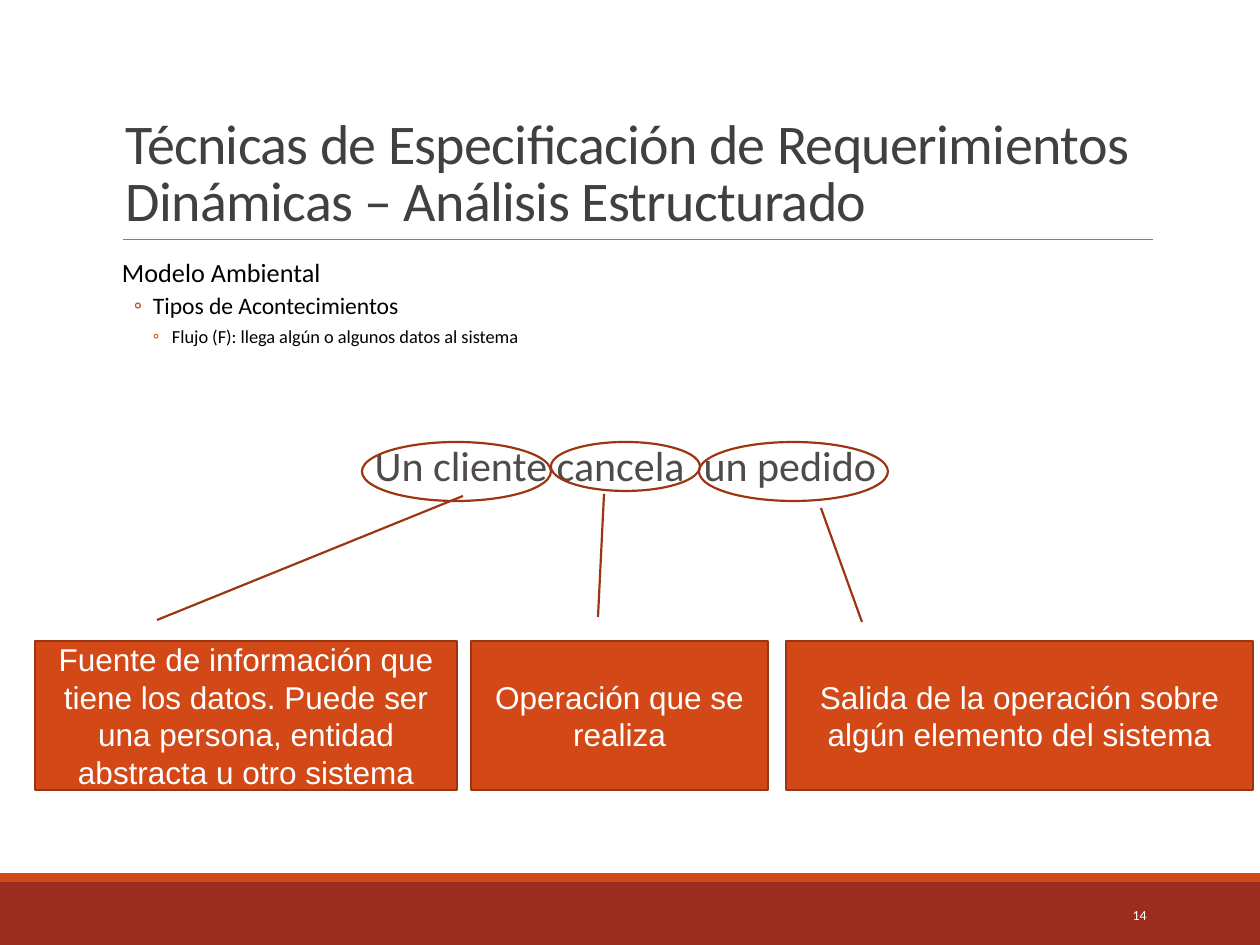
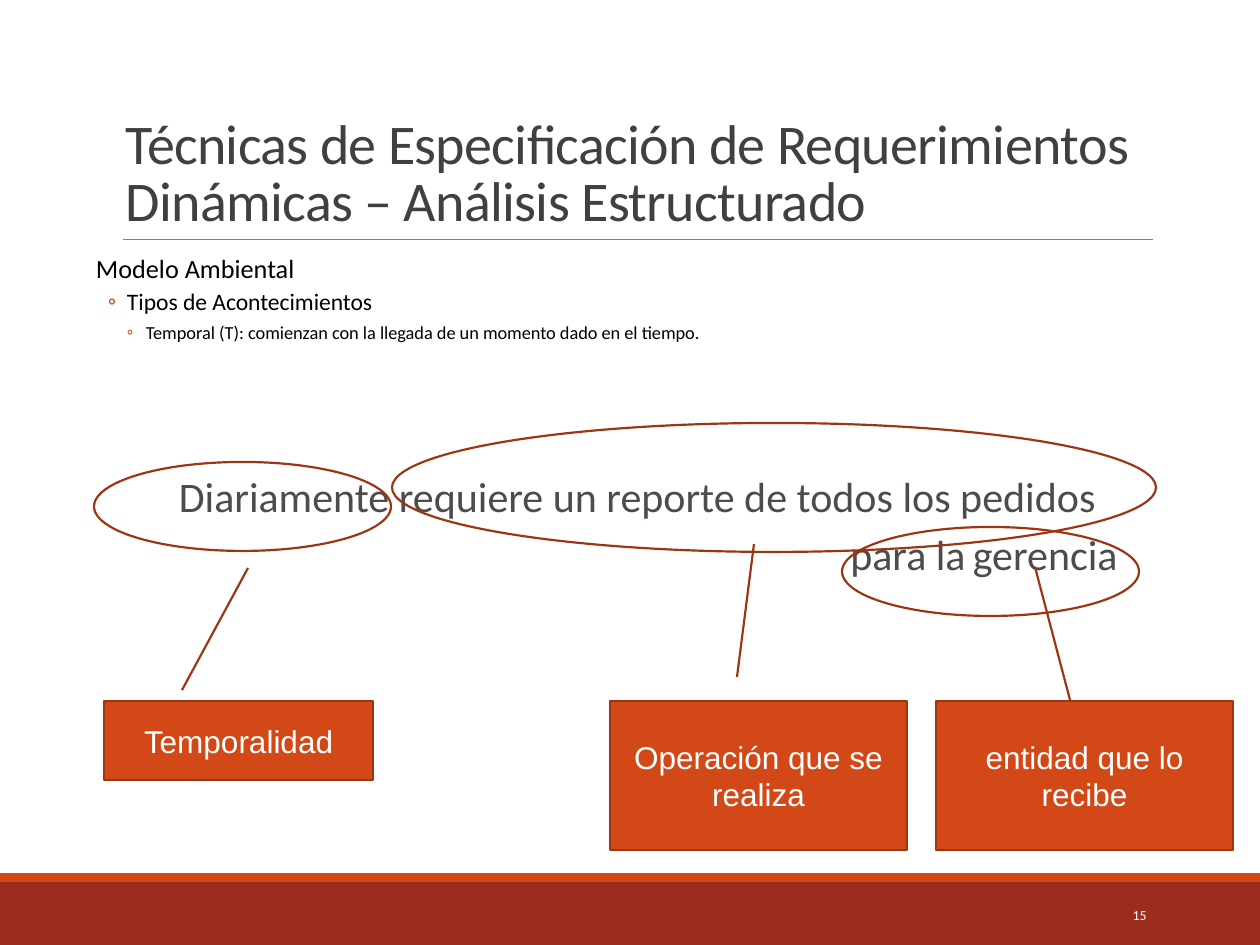
from dataclasses import dataclass

from lxml import etree
from pptx import Presentation
from pptx.dml.color import RGBColor
from pptx.enum.shapes import MSO_CONNECTOR, MSO_SHAPE
from pptx.enum.text import MSO_ANCHOR, PP_ALIGN
from pptx.oxml.ns import qn
from pptx.util import Emu, Pt

RECTANGLE = MSO_SHAPE.RECTANGLE
ELLIPSE = MSO_SHAPE.OVAL
CALLOUT = MSO_SHAPE.LINE_CALLOUT_1
STRAIGHT = MSO_CONNECTOR.STRAIGHT
LEFT, CENTER, RIGHT = PP_ALIGN.LEFT, PP_ALIGN.CENTER, PP_ALIGN.RIGHT
TOP, MIDDLE, BOTTOM = MSO_ANCHOR.TOP, MSO_ANCHOR.MIDDLE, MSO_ANCHOR.BOTTOM


@dataclass(frozen=True)
class Theme:
    accent: str = "D34817"
    outline: str = "9C3511"
    footer: str = "9B2D1F"
    rule: str = "808080"
    title: str = "404040"
    body: str = "000000"
    sentence: str = "4F4B4B"
    light: str = "FFFFFF"
    text_font: str = "Calibri"
    callout_font: str = "Arial"
    title_size: float = 32
    sentence_size: float = 24
    callout_size: float = 18
    level_sizes: tuple = (15, 13.5, 10.5)
    number_size: float = 7.9
    outline_width: float = 1.25
    rule_width: float = 0.5


THEME = Theme()
SLIDE_SIZE = (1260, 945)
PIXELS_PER_INCH = 126

TITLE = "Técnicas de Especificación de Requerimientos\vDinámicas – Análisis Estructurado"
TITLE_BOX = (113, 39, 1040, 200)
TITLE_RULE = (123, 239, 1153, 239)
BANDS = [((0, 882, 1260, 63), THEME.footer), ((0, 873, 1260, 9), THEME.accent)]
NUMBER_BOX = (1023, 890, 136, 50)

OUTLINE_LEVELS = [
    {"margin": 9, "hanging": 0, "before": 9, "after": 1.5, "bullet": None},
    {"margin": 40, "hanging": 19, "before": 1.5, "after": 3, "bullet": "◦"},
    {"margin": 59, "hanging": 19, "before": 1.5, "after": 3, "bullet": "◦"},
]

SLIDES = [
    {
        "number": "14",
        "outline_box": (113, 254, 1040, 555),
        "outline": ["Modelo Ambiental", "Tipos de Acontecimientos",
                    "Flujo (F): llega algún o algunos datos al sistema"],
        "sentence_box": (253, 433, 745, 49),
        "sentence": [
            {"runs": [("Un cliente cancela  un pedido", 24)], "align": CENTER, "margin": 0},
        ],
        "callouts": [
            ("Fuente de información que tiene los datos. Puede ser una persona, "
             "entidad abstracta u otro sistema",
             (35, 641, 422, 149), (157, 620), (463, 496)),
            ("Operación que se realiza", (471, 641, 297, 149), (598, 617), (604, 494)),
            ("Salida de la operación sobre algún elemento del sistema",
             (786, 641, 467, 149), (862, 622), (821, 508)),
        ],
        "ellipses": [(362, 442, 189, 59), (551, 442, 149, 49), (699, 442, 189, 59)],
    },
    {
        "number": "15",
        "outline_box": (87, 250, 1124, 620),
        "outline": ["Modelo Ambiental", "Tipos de Acontecimientos",
                    "Temporal (T): comienzan con la llegada de un momento dado en el tiempo."],
        "sentence_box": (64, 464, 1147, 126),
        "sentence": [
            {"runs": [("Diariamente requiere un reporte de todos los pedidos", 24)],
             "align": CENTER, "margin": 0},
            {"runs": [("para la", 24), (" ", 18), ("gerencia", 24)],
             "align": LEFT, "margin": 774},
        ],
        "callouts": [
            ("Temporalidad", (104, 701, 269, 79), (182, 690), (248, 568)),
            ("Operación que se realiza", (610, 701, 297, 149), (737, 677), (754, 544)),
            ("entidad que lo recibe", (936, 701, 297, 149), (1070, 700), (1035, 567)),
        ],
        "ellipses": [(392, 423, 764, 129), (94, 462, 297, 89), (842, 527, 297, 89)],
    },
]


def px(pixels):
    return Emu(round(pixels * 914400 / PIXELS_PER_INCH))


def scaled(lengths):
    return [px(length) for length in lengths]


def apply(target, formats):
    for name, value in formats.items():
        setattr(target, name, value)


def add_run(paragraph, text, size, color, font=THEME.text_font):
    run = paragraph.add_run()
    run.text = text
    apply(run.font, {"name": font, "size": Pt(size)})
    run.font.color.rgb = RGBColor.from_string(color)
    return run


def add_text_box(slide, box, **formats):
    frame = slide.shapes.add_textbox(*scaled(box)).text_frame
    apply(frame, {"word_wrap": True, **formats})
    return frame


def add_paragraph(frame, index, **formats):
    paragraph = frame.add_paragraph() if index else frame.paragraphs[0]
    apply(paragraph, formats)
    return paragraph


def add_shape(slide, kind, box, fill=None, outline=None):
    shape = slide.shapes.add_shape(kind, *scaled(box))
    shape.shadow.inherit = False
    if fill:
        shape.fill.solid()
        shape.fill.fore_color.rgb = RGBColor.from_string(fill)
    else:
        shape.fill.background()
    if outline:
        shape.line.color.rgb = RGBColor.from_string(outline)
        shape.line.width = Pt(THEME.outline_width)
    else:
        shape.line.fill.background()
    return shape


def add_rule(slide, ends):
    rule = slide.shapes.add_connector(STRAIGHT, *scaled(ends))
    rule.line.color.rgb = RGBColor.from_string(THEME.rule)
    rule.line.width = Pt(THEME.rule_width)
    etree.SubElement(rule._element.spPr, qn("a:effectLst"))


def set_indent(paragraph, margin, hanging=0):
    properties = paragraph._p.get_or_add_pPr()
    properties.set("marL", str(px(margin)))
    properties.set("indent", str(-px(hanging)))
    return properties


def set_bullet(properties, bullet):
    if not bullet:
        etree.SubElement(properties, qn("a:buNone"))
        return
    color = etree.SubElement(properties, qn("a:buClr"))
    etree.SubElement(color, qn("a:srgbClr"), val=THEME.accent)
    etree.SubElement(properties, qn("a:buFont"), typeface=THEME.text_font)
    etree.SubElement(properties, qn("a:buChar"), char=bullet)


def add_frame(slide, number):
    for box, color in BANDS:
        add_shape(slide, RECTANGLE, box, fill=color)
    add_rule(slide, TITLE_RULE)
    frame = add_text_box(slide, TITLE_BOX, vertical_anchor=BOTTOM)
    paragraph = add_paragraph(frame, 0, line_spacing=0.85)
    for index, line in enumerate(TITLE.split("\v")):
        if index:
            paragraph.add_line_break()
        run = add_run(paragraph, line, THEME.title_size, THEME.title)
        run.font._element.set("spc", "-40")
    frame = add_text_box(slide, NUMBER_BOX, vertical_anchor=MIDDLE)
    paragraph = add_paragraph(frame, 0, alignment=RIGHT)
    add_run(paragraph, number, THEME.number_size, THEME.light)


def add_outline(slide, box, lines):
    frame = add_text_box(slide, box, vertical_anchor=TOP, margin_left=0, margin_right=0)
    for index, (text, level) in enumerate(zip(lines, OUTLINE_LEVELS)):
        paragraph = add_paragraph(
            frame, index, level=index, line_spacing=0.9,
            space_before=Pt(level["before"]), space_after=Pt(level["after"]))
        set_bullet(set_indent(paragraph, level["margin"], level["hanging"]), level["bullet"])
        add_run(paragraph, text, THEME.level_sizes[index], THEME.body)


def add_sentence(slide, box, lines):
    frame = add_text_box(slide, box, vertical_anchor=TOP)
    for index, line in enumerate(lines):
        paragraph = add_paragraph(frame, index, alignment=line["align"],
                                  space_before=Pt(THEME.sentence_size * 0.2))
        set_indent(paragraph, line["margin"])
        for text, size in line["runs"]:
            add_run(paragraph, text, size, THEME.sentence)


def add_callout(slide, text, box, start, end):
    shape = add_shape(slide, CALLOUT, box, THEME.accent, THEME.outline)
    left, top, width, height = box
    fractions = [value for x, y in (start, end)
                 for value in ((y - top) / height, (x - left) / width)]
    for index, fraction in enumerate(fractions):
        shape.adjustments[index] = fraction
    apply(shape.text_frame, {"word_wrap": True, "vertical_anchor": MIDDLE})
    paragraph = add_paragraph(shape.text_frame, 0, alignment=CENTER)
    add_run(paragraph, text, THEME.callout_size, THEME.light, THEME.callout_font)


presentation = Presentation()
presentation.slide_width, presentation.slide_height = scaled(SLIDE_SIZE)
for content in SLIDES:
    slide = presentation.slides.add_slide(presentation.slide_layouts[6])
    add_frame(slide, content["number"])
    add_outline(slide, content["outline_box"], content["outline"])
    add_sentence(slide, content["sentence_box"], content["sentence"])
    for callout in content["callouts"]:
        add_callout(slide, *callout)
    for ellipse in content["ellipses"]:
        add_shape(slide, ELLIPSE, ellipse, outline=THEME.outline)
presentation.save("out.pptx")
